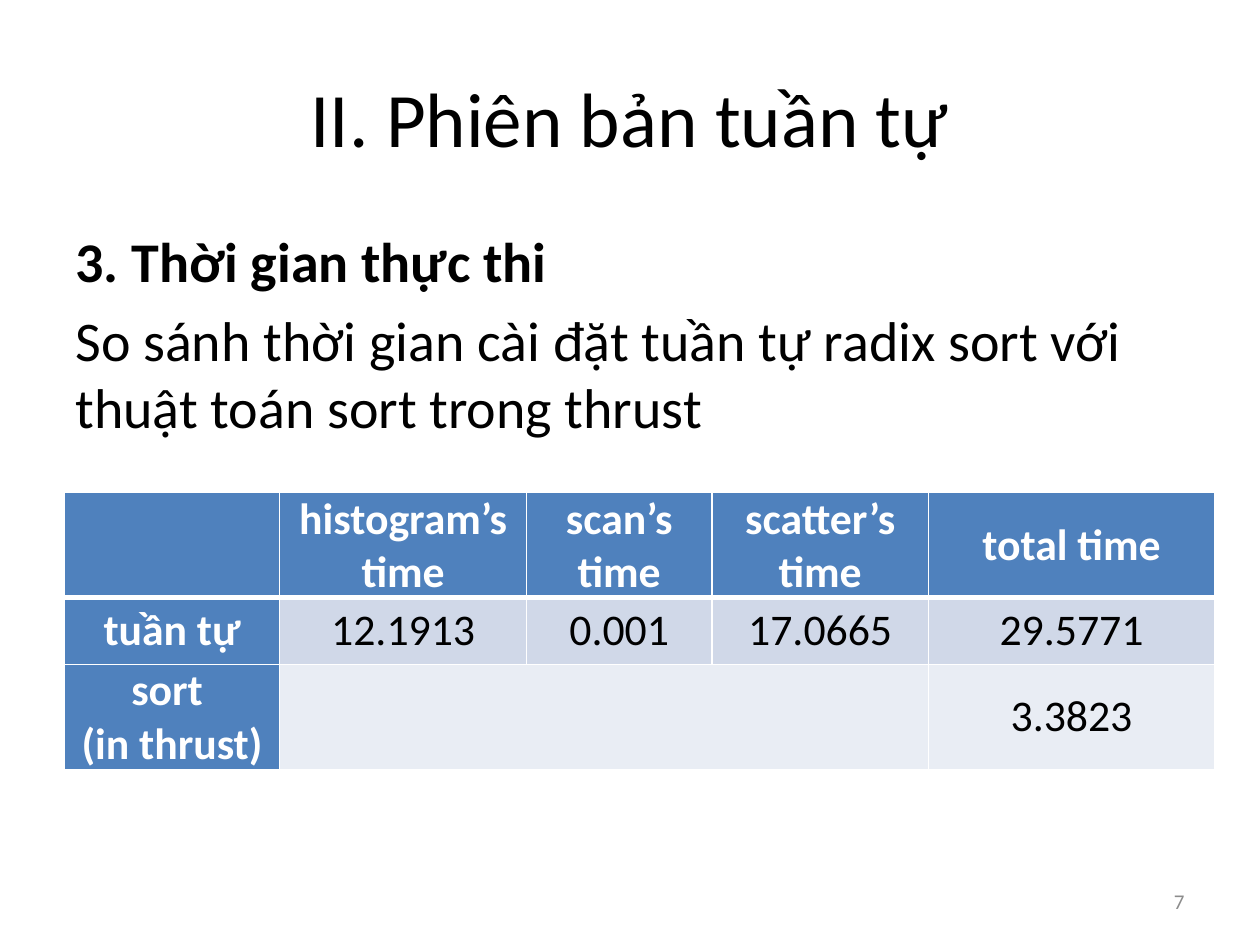
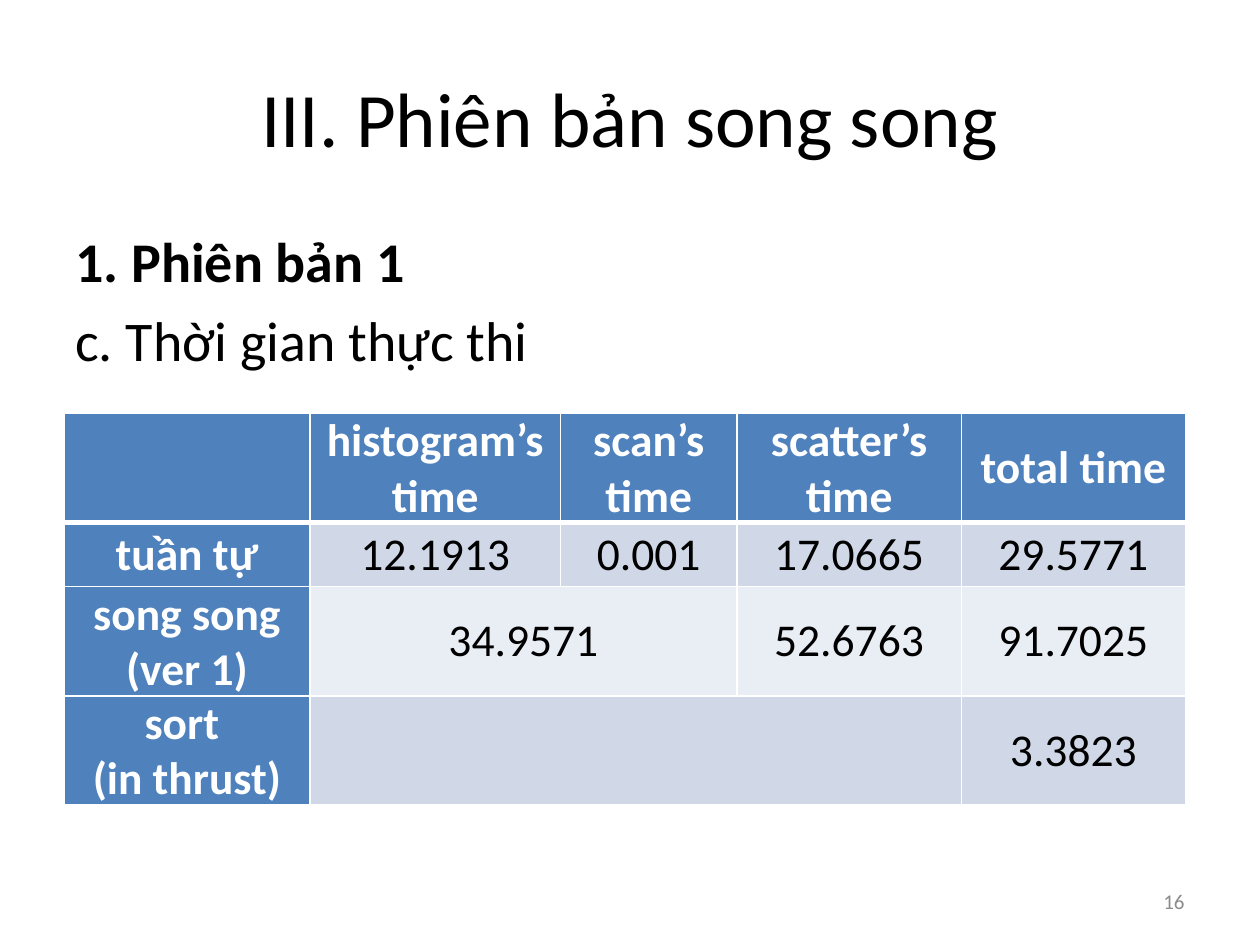
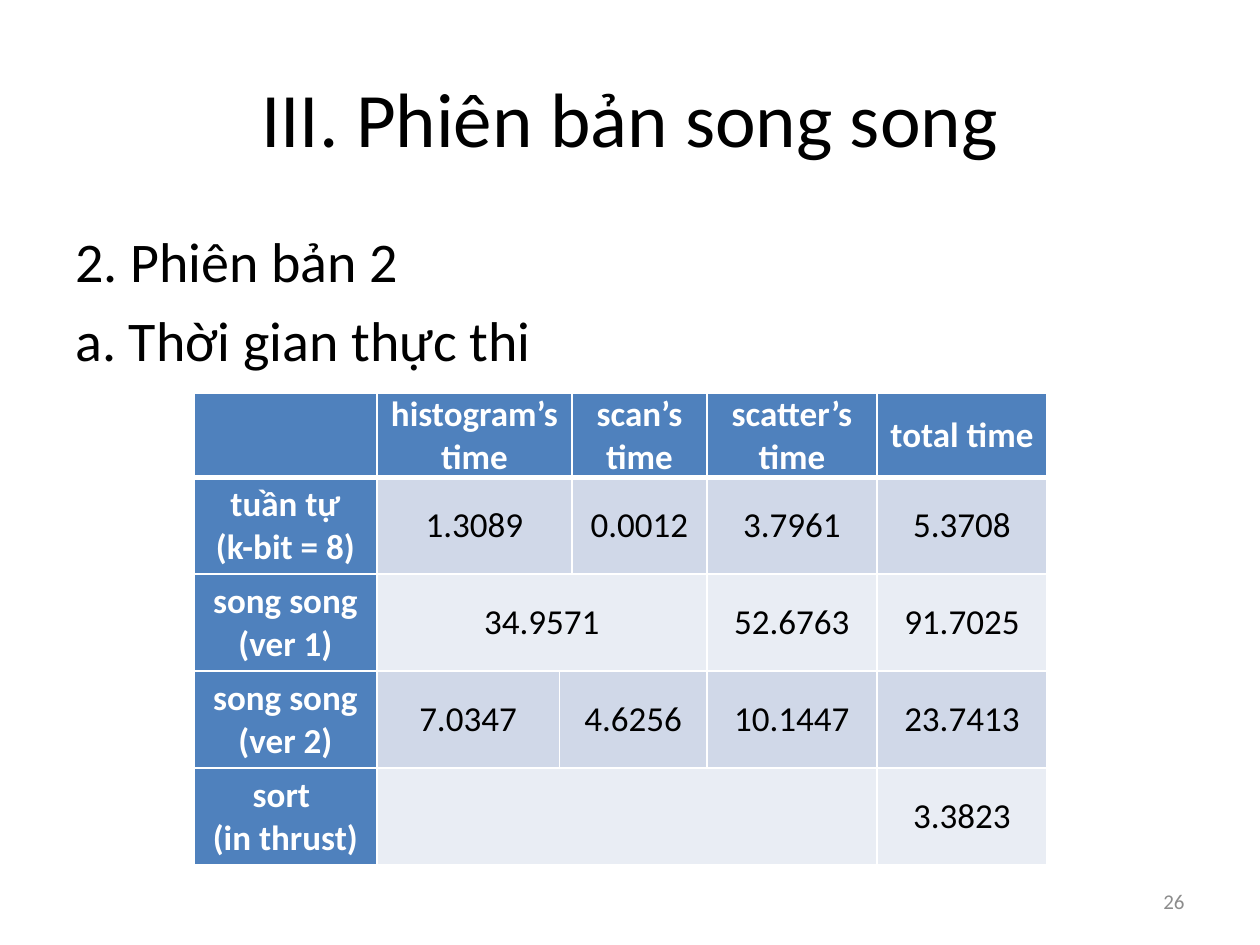
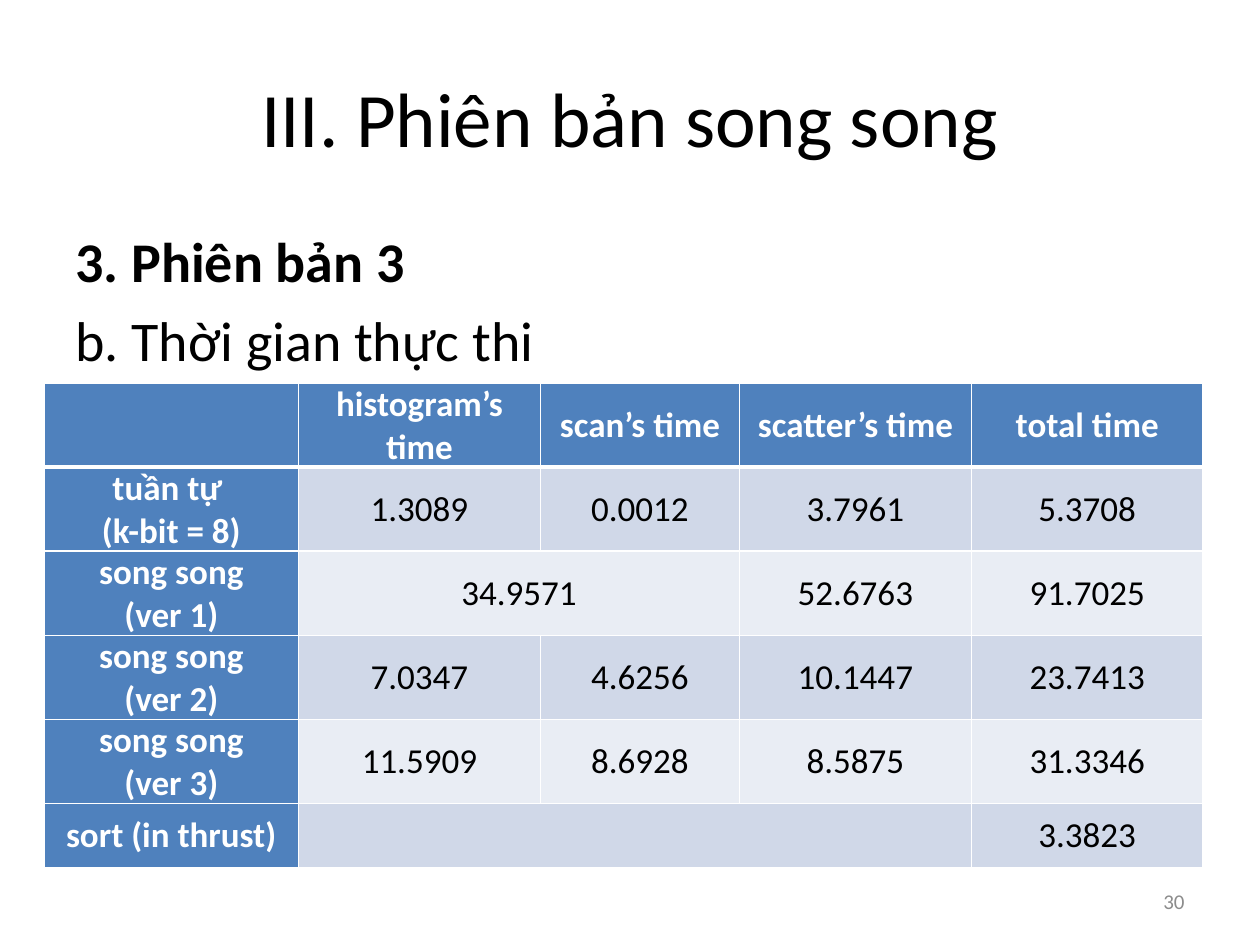
from dataclasses import dataclass
from typing import NamedTuple, Optional

from lxml import etree
from pptx import Presentation
from pptx import util as u
from pptx.dml.color import RGBColor
from pptx.enum import text
from pptx.oxml import ns


# Theme shared by all slides
@dataclass(frozen=True)
class Theme:
    font: str = "Calibri"
    ink: str = "000000"
    white: str = "FFFFFF"
    muted: str = "8C8C8C"
    header: str = "4F81BD"
    bands: tuple[str, str] = ("D0D8E8", "E9EDF4")
    title_size: float = 44
    body_size: float = 32
    number_size: float = 12
    body_gap: float = 6.4
    thin_line: float = 1
    thick_line: float = 3


THEME = Theme()


class Box(NamedTuple):
    left: float
    top: float
    width: float
    height: float

    def lengths(self) -> tuple:
        return tuple(u.Inches(value) for value in self)


TITLE_BOX = Box(0.5, 0.3, 9, 1.25)
BODY_BOX = Box(0.5, 1.75, 9, 4.95)
NUMBER_BOX = Box(7.17, 6.95, 2.33, 0.4)

# A row is a label and its values; None continues the cell on its left
Row = tuple[Optional[str], ...]


@dataclass(frozen=True)
class TimeTable:
    box: Box
    columns: tuple[float, ...]
    row_heights: tuple[float, ...]
    size: float
    rows: tuple[Row, ...]


@dataclass(frozen=True)
class TimingSlide:
    title: str
    heading: str
    detail: str
    number: int
    table: TimeTable
    bold_heading: bool = True


# Timing rows used on several slides
HEADER: Row = ("", "histogram’s time", "scan’s time", "scatter’s time", "total time")
SEQUENTIAL: Row = ("tuần tự", "12.1913", "0.001", "17.0665", "29.5771")
THRUST: Row = ("sort \n(in thrust)", "", None, None, "3.3823")
VERSION_1: Row = ("song song (ver 1)", "34.9571", None, "52.6763", "91.7025")
VERSION_2: Row = ("song song (ver 2)", "7.0347", "4.6256", "10.1447", "23.7413")
VERSION_3: Row = ("song song\n(ver 3)", "11.5909", "8.6928", "8.5875", "31.3346")
EIGHT_BIT: Row = ("tuần tự\n(k-bit = 8)", "1.3089", "0.0012", "3.7961", "5.3708")


def continued(row: Row, column: int) -> Row:
    """Add a column that continues the cell on its left."""
    return row[:column] + (None,) + row[column:]


def relabelled(row: Row, label: str) -> Row:
    return (label,) + row[1:]


PARALLEL_TITLE = "III. Phiên bản song song"

SLIDES = (
    TimingSlide(
        "II. Phiên bản tuần tự",
        "3. Thời gian thực thi",
        "So sánh thời gian cài đặt tuần tự radix sort với thuật toán sort trong thrust",
        7,
        TimeTable(
            Box(0.51, 3.91, 9.13, 2.19),
            (1.71, 1.96, 1.47, 1.72, 2.27),
            (0.53,) * 3,
            25,
            (HEADER, SEQUENTIAL, THRUST),
        ),
    ),
    TimingSlide(
        PARALLEL_TITLE,
        "1. Phiên bản 1",
        "c. Thời gian thực thi",
        16,
        TimeTable(
            Box(0.51, 3.28, 8.9, 3.11),
            (1.95, 1.99, 1.4, 1.78, 1.78),
            (0.51,) * 4,
            26,
            (HEADER, SEQUENTIAL, VERSION_1, THRUST),
        ),
    ),
    TimingSlide(
        PARALLEL_TITLE,
        "2. Phiên bản 2",
        "a. Thời gian thực thi",
        26,
        TimeTable(
            Box(1.54, 3.12, 6.78, 3.75),
            (1.45, 1.45, 0.1, 1.07, 1.35, 1.35),
            (0.3,) + (0.77,) * 4,
            20,
            (
                continued(HEADER, 2),
                continued(EIGHT_BIT, 2),
                continued(VERSION_1, 2),
                continued(VERSION_2, 3),
                continued(THRUST, 2),
            ),
        ),
        bold_heading=False,
    ),
    TimingSlide(
        PARALLEL_TITLE,
        "3. Phiên bản 3",
        "b. Thời gian thực thi",
        30,
        TimeTable(
            Box(0.35, 3.04, 9.21, 3.85),
            (2.02, 1.92, 1.58, 1.84, 1.84),
            (0.51,) * 6,
            20,
            (
                HEADER,
                relabelled(EIGHT_BIT, "tuần tự \n(k-bit = 8)"),
                relabelled(VERSION_1, "song song\n(ver 1)"),
                relabelled(VERSION_2, "song song\n(ver 2)"),
                VERSION_3,
                relabelled(THRUST, "sort (in thrust)"),
            ),
        ),
    ),
)


# Text
def format_paragraph(paragraph, size: float, color: str, alignment, bold: bool = False) -> None:
    paragraph.alignment = alignment
    for run in paragraph.runs:
        run.font.name = THEME.font
        run.font.size = u.Pt(size)
        run.font.bold = bold
        run.font.color.rgb = RGBColor.from_string(color)


def add_text(slide, box: Box, content: str, size: float, color: str, alignment, anchor):
    text_frame = slide.shapes.add_textbox(*box.lengths()).text_frame
    text_frame.word_wrap = True
    text_frame.vertical_anchor = anchor
    text_frame.text = content
    for paragraph in text_frame.paragraphs:
        format_paragraph(paragraph, size, color, alignment)
    return text_frame


def add_body(slide, content: TimingSlide) -> None:
    text_frame = add_text(
        slide, BODY_BOX, f"{content.heading}\n{content.detail}", THEME.body_size,
        THEME.ink, text.PP_ALIGN.LEFT, text.MSO_ANCHOR.TOP,
    )
    for paragraph in text_frame.paragraphs:
        paragraph.space_before = u.Pt(THEME.body_gap)
    text_frame.paragraphs[0].runs[0].font.bold = content.bold_heading


# Table
def add_borders(cell, row_index: int) -> None:
    """Draw white cell lines, with a thick one below the header row."""
    widths = dict.fromkeys(("lnL", "lnR", "lnT", "lnB"), THEME.thin_line)
    if row_index < 2:
        widths["lnB" if row_index == 0 else "lnT"] = THEME.thick_line
    properties = cell._tc.get_or_add_tcPr()
    for side, width in widths.items():
        line = etree.SubElement(properties, ns.qn(f"a:{side}"), w=str(u.Pt(width)))
        fill = etree.SubElement(line, ns.qn("a:solidFill"))
        etree.SubElement(fill, ns.qn("a:srgbClr"), val=THEME.white)


def format_cell(cell, content: str, row_index: int, column_index: int, size: float) -> None:
    is_header = row_index == 0 or column_index == 0
    add_borders(cell, row_index)
    cell.fill.solid()
    fill_color = THEME.header if is_header else THEME.bands[(row_index - 1) % 2]
    cell.fill.fore_color.rgb = RGBColor.from_string(fill_color)
    cell.margin_left = cell.margin_right = u.Inches(0.07)
    cell.margin_top = cell.margin_bottom = 0
    cell.vertical_anchor = text.MSO_ANCHOR.MIDDLE
    cell.text_frame.text = content
    for paragraph in cell.text_frame.paragraphs:
        format_paragraph(
            paragraph, size, THEME.white if is_header else THEME.ink,
            text.PP_ALIGN.CENTER, is_header,
        )


def merge_continued(table, row: Row, row_index: int) -> None:
    """Merge each cell with the None entries that follow it."""
    starts = [index for index, value in enumerate(row) if value is not None]
    for start, following in zip(starts, starts[1:] + [len(row)]):
        if following - start > 1:
            table.cell(row_index, start).merge(table.cell(row_index, following - 1))


def add_time_table(slide, content: TimeTable) -> None:
    frame = slide.shapes.add_table(
        len(content.rows), len(content.columns), *content.box.lengths()
    )
    table = frame.table
    table.first_col = True
    for column, width in zip(table.columns, content.columns):
        column.width = u.Inches(width)
    for table_row, height in zip(table.rows, content.row_heights):
        table_row.height = u.Inches(height)
    # Wrapped labels make the frame taller than the least row heights
    frame.height = u.Inches(content.box.height)
    for row_index, row in enumerate(content.rows):
        for column_index, value in enumerate(row):
            cell = table.cell(row_index, column_index)
            format_cell(cell, value or "", row_index, column_index, content.size)
        merge_continued(table, row, row_index)


# Slides
def add_timing_slide(presentation, content: TimingSlide) -> None:
    slide = presentation.slides.add_slide(presentation.slide_layouts[6])
    add_text(
        slide, TITLE_BOX, content.title, THEME.title_size, THEME.ink,
        text.PP_ALIGN.CENTER, text.MSO_ANCHOR.MIDDLE,
    )
    add_body(slide, content)
    add_text(
        slide, NUMBER_BOX, str(content.number), THEME.number_size, THEME.muted,
        text.PP_ALIGN.RIGHT, text.MSO_ANCHOR.MIDDLE,
    )
    add_time_table(slide, content.table)


def main() -> None:
    presentation = Presentation()
    presentation.slide_width = u.Inches(10)
    presentation.slide_height = u.Inches(7.5)
    for content in SLIDES:
        add_timing_slide(presentation, content)
    presentation.save("out.pptx")


if __name__ == "__main__":
    main()
